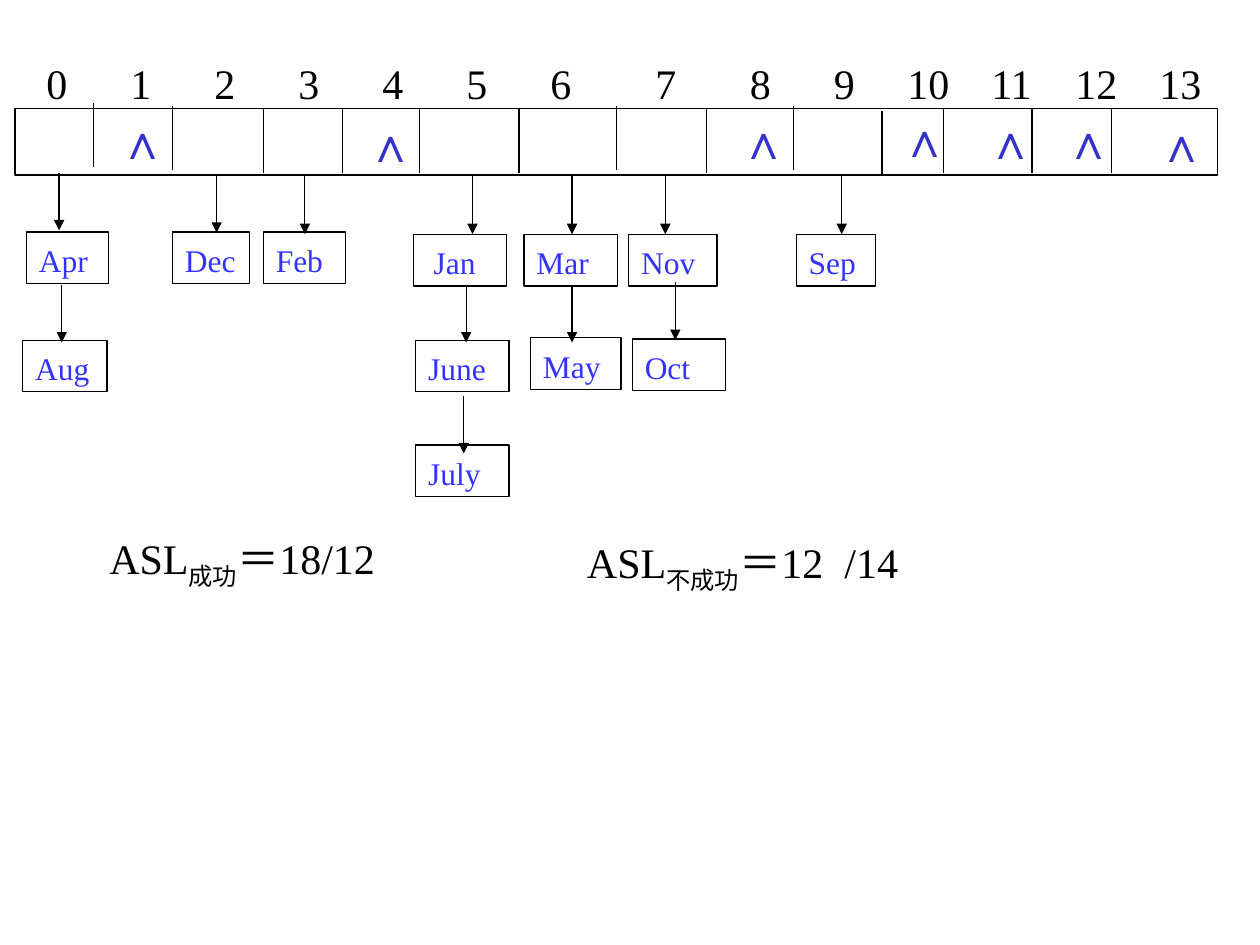
from pptx import Presentation
from pptx.dml.color import RGBColor
from pptx.enum.shapes import MSO_CONNECTOR, MSO_SHAPE
from pptx.enum.text import MSO_ANCHOR, PP_ALIGN
from pptx.oxml.ns import qn
from pptx.util import Pt
from lxml import etree

STRAIGHT = MSO_CONNECTOR.STRAIGHT
RECTANGLE = MSO_SHAPE.RECTANGLE
TOP = MSO_ANCHOR.TOP
LEFT = PP_ALIGN.LEFT
FONT = "Times New Roman"
BLACK, MONTH_BLUE, EMPTY_BLUE = "000000", "3333FF", "3333CC"
LINE_WIDTH = 0.75
ARROW_LENGTH = 33
MONTH_HEIGHT = 29.5

INDEX_TABS = [48 * n for n in range(1, 7)] + [348, 402, 450, 492, 540, 588, 636]
DIVIDERS = [
    (44.7, -3), (90, -1.5), (141.9, 0), (187.2, 0), (231.2, 0), (288, 0),
    (343.5, -1.5), (395.3, 0), (445, -1.5), (495.4, 1.4), (530.7, 0),
    (581.1, 0), (626.4, 0),
]
EMPTY_MARKS = [
    (51.9, -2.2), (193.7, -0.8), (406.8, -2.2), (499, -3.7),
    (548, -2.2), (592.6, -2.2), (645.9, -0.8),
]
MONTHS = [
    ("Apr", 6.5, 32.5, 46.8, 25.2, -1.4),
    ("Aug", 4.4, 94.4, 48.2, 26.7, 62.7),
    ("Dec", 90, 32.5, 43.9, 115.2, 0),
    ("Feb", 141.9, 32.5, 46.8, 165.6, 0.8),
    (" Jan", 227.6, 33.9, 53.3, 261.4, 0.8),
    ("June", 229, 94.4, 53.3, 257.8, 62.7),
    ("July", 229, 154.2, 53.3, 256.4, 126.1),
    ("Mar", 290.9, 33.9, 53.3, 318.3, 0.8),
    ("May", 294.5, 93, 51.8, 318.3, 62.7),
    ("Nov", 350.7, 33.9, 50.4, 371.6, 0.8),
    ("Oct", 352.8, 93.7, 53.3, 377.3, 61.3),
    ("Sep", 446.4, 33.9, 45.4, 472.4, 0.8),
]


def color(value):
    return RGBColor.from_string(value)


def add_span(para, text, size=24, fill=BLACK, baseline=0):
    span = para.add_run()
    span.text = text
    span.font.name = FONT
    span.font.size = Pt(size)
    span.font.color.rgb = color(fill)
    if baseline:
        span.font._element.set("baseline", str(baseline * 1000))


def prepare_text(box, inset=5, wrap=True):
    frame = box.text_frame
    frame.word_wrap = wrap
    frame.vertical_anchor = TOP
    frame.margin_top = Pt(inset)
    para = frame.paragraphs[0]
    para.alignment = LEFT
    return para


def add_text_box(page, left, top, width, height, **layout):
    box = page.shapes.add_textbox(Pt(left), Pt(top), Pt(width), Pt(height))
    return prepare_text(box, **layout)


def add_rectangle(page, left, top, width, height):
    box = page.shapes.add_shape(RECTANGLE, Pt(left), Pt(top), Pt(width), Pt(height))
    box.shadow.inherit = False
    box.fill.background()
    box.line.color.rgb = color(BLACK)
    box.line.width = Pt(LINE_WIDTH)
    return box


def add_vertical(page, x, top, length, arrow=False):
    line = page.shapes.add_connector(STRAIGHT, Pt(x), Pt(top), Pt(x), Pt(top + length))
    line.line.color.rgb = color(BLACK)
    line.line.width = Pt(LINE_WIDTH)
    if arrow:
        etree.SubElement(line.line._get_or_add_ln(), qn("a:tailEnd"), type="triangle")
    etree.SubElement(line._element.spPr, qn("a:effectLst"))


def add_index_row(page, left, top, width, height):
    para = add_text_box(page, left, top, width, height)
    tabs = etree.SubElement(para._p.get_or_add_pPr(), qn("a:tabLst"))
    for position in INDEX_TABS:
        etree.SubElement(tabs, qn("a:tab"), pos=str(Pt(position)), algn="l")
    add_span(para, "\t".join(str(n) for n in range(14)))


def add_hash_table(page, left, top, width, height):
    add_rectangle(page, left, top, width, height)
    for x, y in DIVIDERS:
        add_vertical(page, left + x, top + y, 36.7)
    for x, y in EMPTY_MARKS:
        para = add_text_box(page, left + x, top + y, 31.7, 41, inset=3.6, wrap=False)
        add_span(para, "∧", size=28, fill=EMPTY_BLUE)


def add_chains(page, left, top):
    for name, x, y, width, arrow_x, arrow_y in MONTHS:
        box = add_rectangle(page, left + x, top + y, width, MONTH_HEIGHT)
        add_span(prepare_text(box), name, size=18, fill=MONTH_BLUE)
        add_vertical(page, left + arrow_x, top + arrow_y, ARROW_LENGTH, arrow=True)


def add_formula(page, left, top, width, height, subscript, value):
    para = add_text_box(page, left, top, width, height)
    add_span(para, "ASL")
    add_span(para, subscript, baseline=-25)
    add_span(para, "＝" + value)


deck = Presentation()
deck.slide_width, deck.slide_height = Pt(720), Pt(540)
page = deck.slides.add_slide(deck.slide_layouts[6])
add_index_row(page, 19.4, 28.1, 700.6, 36)
add_hash_table(page, 8.6, 62, 687, 38)
add_chains(page, 8.6, 100)
add_formula(page, 55.4, 299.5, 232.6, 36, "成功", "18/12")
add_formula(page, 328.3, 301.7, 257.8, 36, "不成功", "12  /14")
deck.save("out.pptx")
